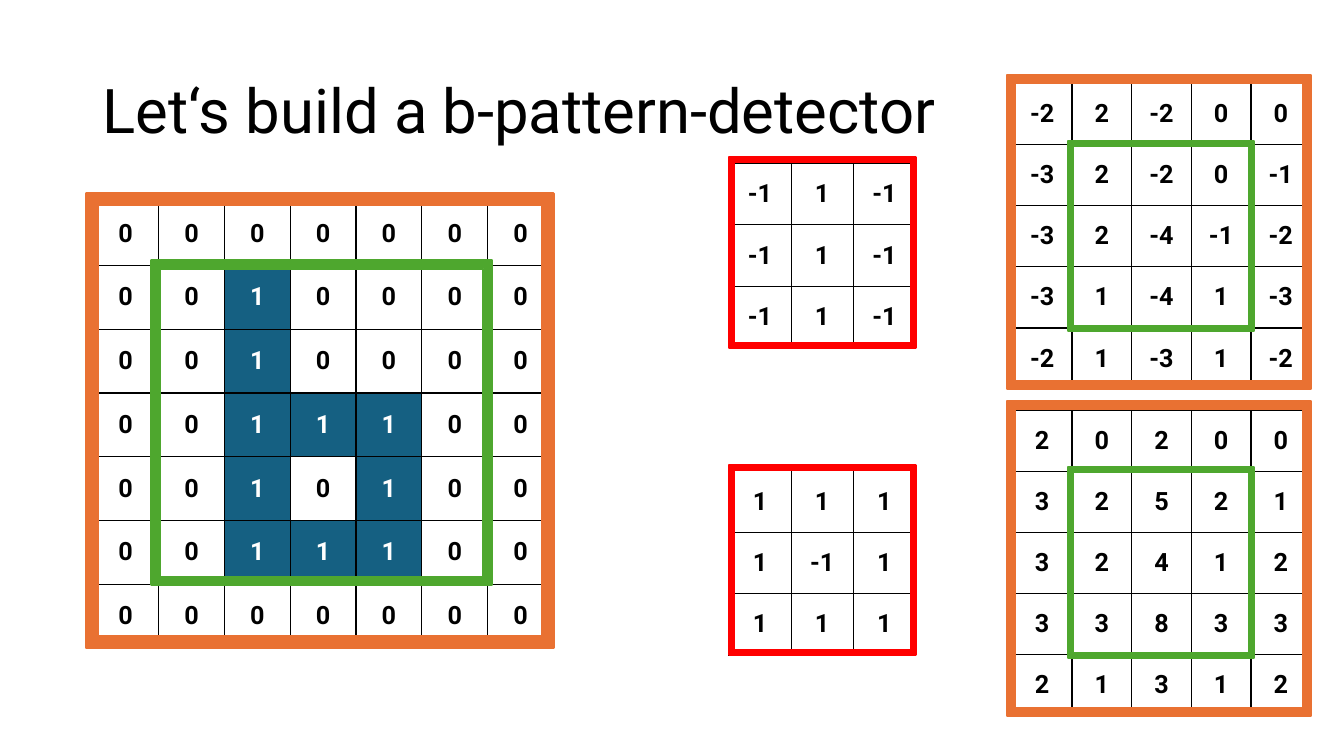
from lxml.etree import SubElement
from pptx import Presentation
from pptx.dml.color import RGBColor
from pptx.enum.shapes import MSO_SHAPE
from pptx.enum.text import MSO_ANCHOR, PP_ALIGN
from pptx.oxml.ns import qn
from pptx.util import Inches, Pt

BLACK = RGBColor(0x00, 0x00, 0x00)
WHITE = RGBColor(0xFF, 0xFF, 0xFF)
BLUE = RGBColor(0x15, 0x60, 0x82)
ORANGE = RGBColor(0xE9, 0x71, 0x32)
GREEN = RGBColor(0x4E, 0xA7, 0x2E)
RED = RGBColor(0xFF, 0x00, 0x00)

# Content
TITLE = "Let‘s build a b-pattern-detector"
LETTER = [
    "0 0 0 0 0 0 0",
    "0 0 1 0 0 0 0",
    "0 0 1 0 0 0 0",
    "0 0 1 1 1 0 0",
    "0 0 1 0 1 0 0",
    "0 0 1 1 1 0 0",
    "0 0 0 0 0 0 0",
]
STEM_KERNEL = ["-1 1 -1"] * 3
BOWL_KERNEL = ["1 1 1", "1 -1 1", "1 1 1"]
STEM_MAP = ["-2 2 -2 0 0", "-3 2 -2 0 -1", "-3 2 -4 -1 -2", "-3 1 -4 1 -3", "-2 1 -3 1 -2"]
BOWL_MAP = ["2 0 2 0 0", "3 2 5 2 1", "3 2 4 1 2", "3 3 8 3 3", "2 1 3 1 2"]

# Frames: colour, cells skipped at each edge, overhang (left, top, right, bottom)
LETTER_FRAMES = [(ORANGE, 0, (0.07, 0.08, 0, 0)), (GREEN, 1, (0.07, 0.05, 0.04, 0.01))]
MAP_FRAMES = [(GREEN, 1, (0.04, 0.04, 0.03, 0.03)), (ORANGE, 0, (0.05, 0.09, 0, 0))]
KERNEL_FRAMES = [(RED, 0, (0, 0.06, 0, 0))]

# Matrices: rows, left and top, width and height, frames, colour of the ones
MATRICES = [
    (LETTER, (0.92, 2), (4.57, 4.43), LETTER_FRAMES, BLUE),
    (STEM_MAP, (10.04, 0.83), (2.96, 3.03), MAP_FRAMES, None),
    (BOWL_MAP, (10.04, 4.07), (2.96, 3.03), MAP_FRAMES, None),
    (STEM_KERNEL, (7.23, 1.62), (1.85, 1.83), KERNEL_FRAMES, None),
    (BOWL_KERNEL, (7.23, 4.67), (1.85, 1.83), KERNEL_FRAMES, None),
]


def write(text_frame, text, size, color=BLACK, bold=False, align=PP_ALIGN.LEFT, spacing=None):
    para = text_frame.paragraphs[0]
    para.alignment = align
    para.line_spacing = spacing
    span = para.add_run()
    span.text = text
    span.font.name = "Roboto"
    span.font.size = Pt(size)
    span.font.bold = bold
    span.font.color.rgb = color


def add_borders(cell):
    properties = cell._tc.get_or_add_tcPr()
    for side in ("a:lnL", "a:lnR", "a:lnT", "a:lnB"):
        line = SubElement(properties, qn(side), w=str(Pt(1)))
        fill = SubElement(line, qn("a:solidFill"))
        SubElement(fill, qn("a:srgbClr"), val=str(BLACK))


def add_matrix(page, rows, corner, size, ink):
    count = len(rows)
    table = page.shapes.add_table(count, count, *map(Inches, corner + size)).table
    table.first_row = table.horz_banding = False
    for index in range(count):
        table.columns[index].width = Inches(size[0] / count)
        table.rows[index].height = Inches(size[1] / count)
    for row, values in enumerate(rows):
        for column, value in enumerate(values.split()):
            cell = table.cell(row, column)
            inked = ink is not None and value == "1"
            add_borders(cell)
            cell.fill.solid()
            cell.fill.fore_color.rgb = ink if inked else WHITE
            cell.vertical_anchor = MSO_ANCHOR.MIDDLE
            write(cell.text_frame, value, 18, color=WHITE if inked else BLACK,
                  bold=True, align=PP_ALIGN.CENTER)


def add_frame(page, count, corner, size, color, skipped, overhang):
    left, top, right, bottom = overhang
    inset_x, inset_y = (length / count * skipped for length in size)
    frame = page.shapes.add_shape(
        MSO_SHAPE.FRAME,
        Inches(corner[0] + inset_x - left),
        Inches(corner[1] + inset_y - top),
        Inches(size[0] - 2 * inset_x + left + right),
        Inches(size[1] - 2 * inset_y + top + bottom),
    )
    frame.adjustments[0] = 0.026
    frame.shadow.inherit = False
    frame.fill.solid()
    frame.fill.fore_color.rgb = color
    frame.line.color.rgb = color
    frame.line.width = Pt(1.5)


def main():
    deck = Presentation()
    deck.slide_width, deck.slide_height = Inches(13.33), Inches(7.5)
    page = deck.slides.add_slide(deck.slide_layouts[6])

    # Title
    box = page.shapes.add_textbox(Inches(0.92), Inches(0.4), Inches(11.5), Inches(1.45))
    box.text_frame.word_wrap = True
    box.text_frame.vertical_anchor = MSO_ANCHOR.MIDDLE
    write(box.text_frame, TITLE, 44, spacing=0.9)

    # Matrices with their frames
    for rows, corner, size, frames, ink in MATRICES:
        add_matrix(page, rows, corner, size, ink)
        for color, skipped, overhang in frames:
            add_frame(page, len(rows), corner, size, color, skipped, overhang)

    deck.save("out.pptx")


if __name__ == "__main__":
    main()
